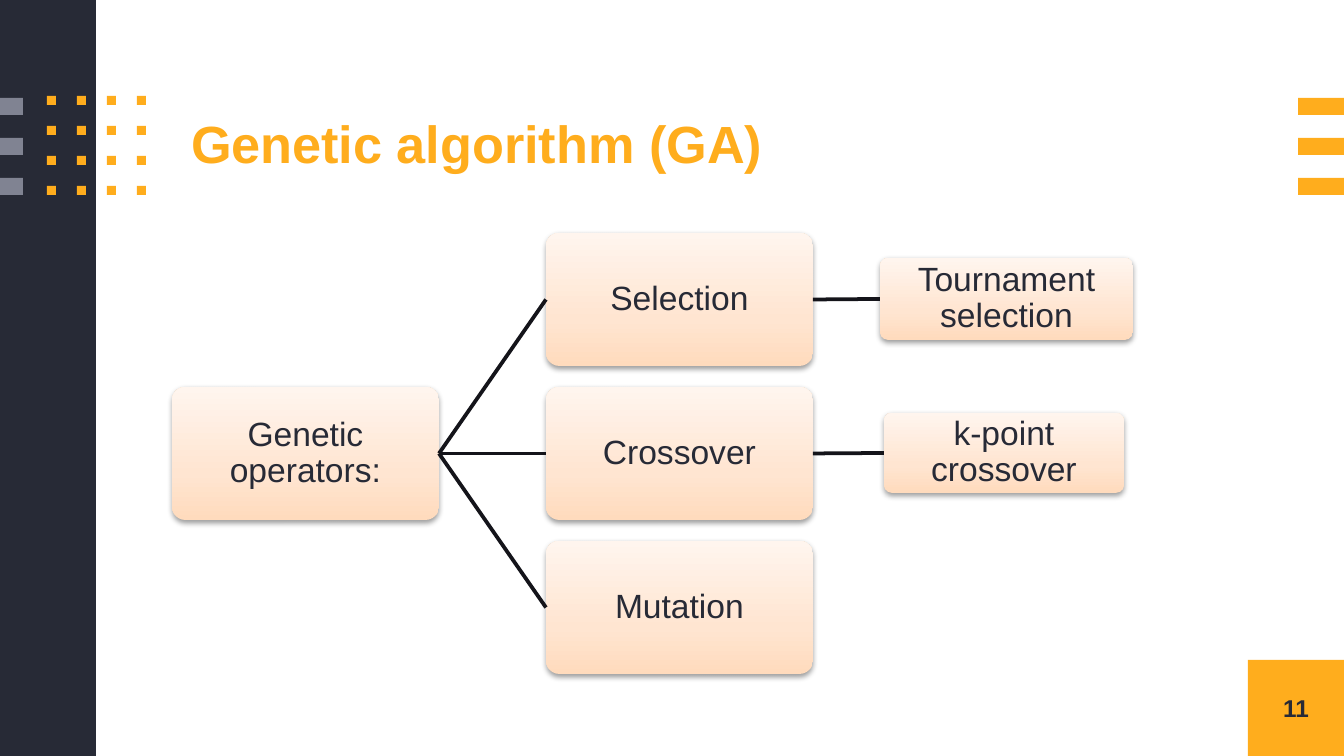
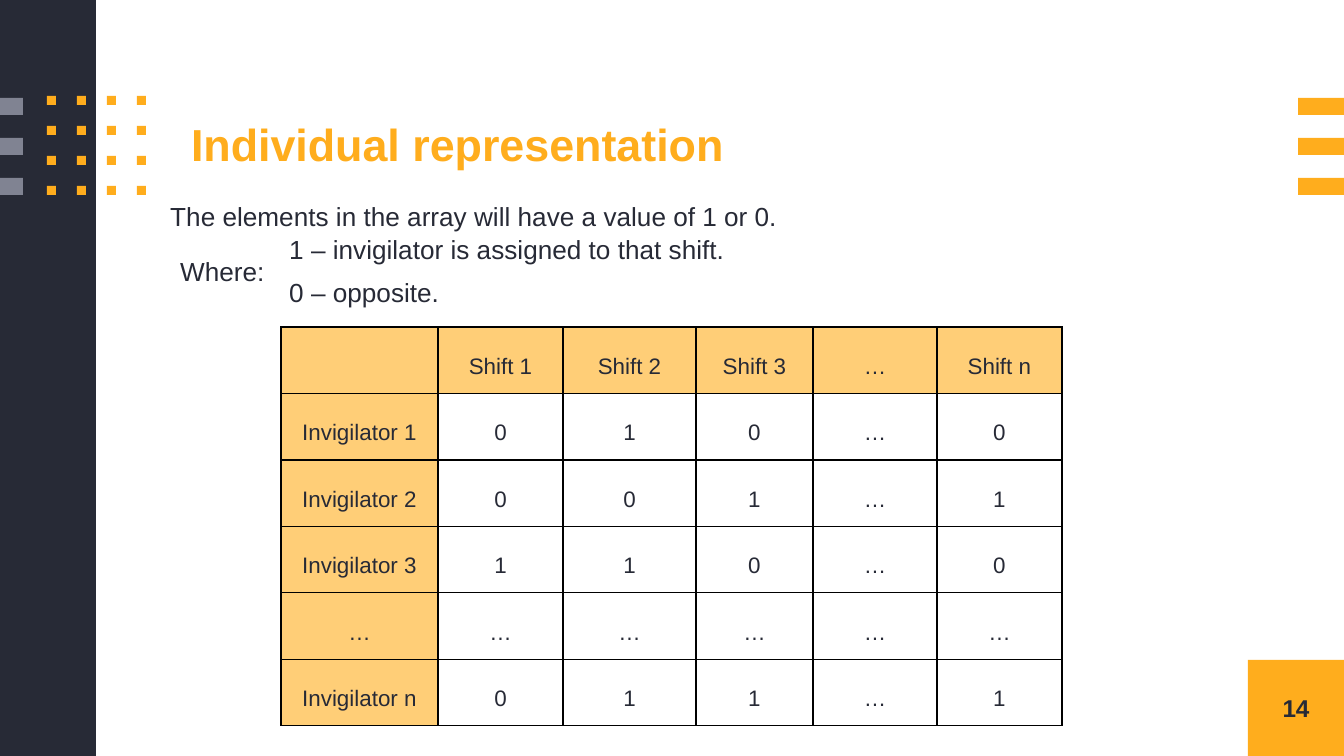
from copy import deepcopy

from lxml import etree
from pptx import Presentation
from pptx.dml.color import RGBColor
from pptx.enum.shapes import MSO_CONNECTOR, MSO_SHAPE
from pptx.enum.text import MSO_ANCHOR, MSO_AUTO_SIZE, PP_ALIGN
from pptx.oxml import parse_xml
from pptx.oxml.ns import nsdecls, qn
from pptx.util import Pt

RECT, ROUNDED = MSO_SHAPE.RECTANGLE, MSO_SHAPE.ROUNDED_RECTANGLE
STRAIGHT = MSO_CONNECTOR.STRAIGHT
MIDDLE = MSO_ANCHOR.MIDDLE
GROW, NO_FIT = MSO_AUTO_SIZE.SHAPE_TO_FIT_TEXT, MSO_AUTO_SIZE.NONE
LEFT, CENTER, JUSTIFY = PP_ALIGN.LEFT, PP_ALIGN.CENTER, PP_ALIGN.JUSTIFY

ORANGE = RGBColor(0xFF, 0xAD, 0x1D)
NAVY = RGBColor(0x27, 0x2A, 0x36)
GRAY = RGBColor(0x80, 0x83, 0x92)
HEADER_FILL = RGBColor(0xFF, 0xCE, 0x77)
LINK_COLOR = RGBColor(0x14, 0x14, 0x1A)
PEACH_STOPS = [
    (0, RGBColor(0xFF, 0xDB, 0xBD)),
    (0.35, RGBColor(0xFF, 0xE5, 0xD1)),
    (1, RGBColor(0xFF, 0xF5, 0xEE)),
]
FONT = "Arial"
SCALE = 9144000 / 1344  # EMU per px

SOFT_SHADOW = (
    f'<a:outerShdw {nsdecls("a")} blurRad="40000" dist="20000" dir="5400000" '
    'rotWithShape="0"><a:srgbClr val="000000"><a:alpha val="38000"/></a:srgbClr></a:outerShdw>'
)
CELL_BORDER = (
    '<a:{side} ' + nsdecls("a") + ' w="9525"><a:solidFill><a:srgbClr val="000000"/>'
    "</a:solidFill></a:{side}>"
)


def px(*lengths):
    return [round(length * SCALE) for length in lengths]


def write(frame, lines, size, color=NAVY, bold=False, inset=None, frame_format=None, **paragraph_format):
    """Fill a text frame, one paragraph per line."""
    for name, value in (frame_format or {}).items():
        setattr(frame, name, value)
    if inset is not None:
        for side in ("left", "top", "right", "bottom"):
            setattr(frame, f"margin_{side}", px(inset)[0])
    for index, line in enumerate(lines):
        paragraph = frame.add_paragraph() if index else frame.paragraphs[0]
        for name, value in paragraph_format.items():
            setattr(paragraph, name, value)
        run = paragraph.add_run()
        run.text = line
        for name, value in {"name": FONT, "size": Pt(size), "bold": bold}.items():
            setattr(run.font, name, value)
        run.font.color.rgb = color


prs = Presentation()
prs.slide_width, prs.slide_height = px(1344, 756)

# Shared decoration: page-number square, side band, bars and dot grid
decoration = [((1248, 660, 96, 96), ORANGE), ((0, 0, 96, 756), NAVY)]
decoration += [((0, 98 + 40 * row, 23, 17), GRAY) for row in range(3)]
decoration += [((47 + 30 * col, 96 + 30 * row, 9, 9), ORANGE) for row in range(4) for col in range(4)]
decoration += [((1298, 98 + 40 * row, 46, 17), ORANGE) for row in range(3)]

slides = []
for heading, heading_size, page in [
    ("Genetic algorithm (GA)", 28, "11"),
    ("Individual representation", 24, "14"),
]:
    slide = prs.slides.add_slide(prs.slide_layouts[5])
    slides.append(slide)
    for box, color in decoration:
        block = slide.shapes.add_shape(RECT, *px(*box))
        block.shadow.inherit = False
        block.fill.solid()
        block.fill.fore_color.rgb = color
        block.line.fill.background()
        if box == decoration[0][0]:
            write(block.text_frame, [page], 13, bold=True, inset=0,
                  frame_format={"vertical_anchor": MIDDLE}, alignment=CENTER)
    title = slide.shapes.title
    title.left, title.top, title.width, title.height = px(191, 98, 1153, 97)
    write(title.text_frame, [heading], heading_size, ORANGE, True, 0,
          {"vertical_anchor": MIDDLE, "auto_size": NO_FIT, "word_wrap": True},
          alignment=LEFT, line_spacing=0.9)

operators_slide, representation_slide = slides

# Operator tree: nodes
operators = {}
for label, box in [
    ("Genetic operators:", (172, 387, 267, 133)),
    ("Selection", (546, 233, 267, 133)),
    ("Tournament selection", (880, 258, 253, 82)),
    ("Crossover", (546, 387, 267, 133)),
    ("k-point crossover", (884, 413, 240, 80)),
    ("Mutation", (546, 541, 267, 133)),
]:
    node = operators_slide.shapes.add_shape(ROUNDED, *px(*box))
    node.adjustments[0] = 0.1
    node.line.fill.background()
    node.fill.gradient()
    node.fill.gradient_angle = 90
    stop_list = node.fill._fill._gradFill.find(qn("a:gsLst"))
    stop_list.insert(1, deepcopy(stop_list[0]))
    for stop, (position, color) in zip(node.fill.gradient_stops, PEACH_STOPS):
        stop.position = position
        stop.color.rgb = color
    node.shadow.inherit = False
    node._element.spPr.find(qn("a:effectLst")).append(parse_xml(SOFT_SHADOW))
    write(node.text_frame, [label], 18, inset=5,
          frame_format={"vertical_anchor": MIDDLE, "word_wrap": True},
          alignment=CENTER, line_spacing=0.9)
    operators[label] = node

# Operator tree: links from right side to left side
for parent, child in [
    ("Genetic operators:", "Selection"),
    ("Genetic operators:", "Crossover"),
    ("Genetic operators:", "Mutation"),
    ("Selection", "Tournament selection"),
    ("Crossover", "k-point crossover"),
]:
    link = operators_slide.shapes.add_connector(STRAIGHT, 0, 0, 0, 0)
    link.begin_connect(operators[parent], 3)
    link.end_connect(operators[child], 1)
    link.line.color.rgb = LINK_COLOR
    link.line.width = Pt(2)
    etree.SubElement(link._element.spPr, qn("a:effectLst"))

# Assignment table
assignments = [
    ["", "Shift 1", "Shift 2", "Shift 3", "…", "Shift n"],
    ["Invigilator 1", "0", "1", "0", "…", "0"],
    ["Invigilator 2", "0", "0", "1", "…", "1"],
    ["Invigilator 3", "1", "1", "0", "…", "0"],
    ["…", "…", "…", "…", "…", "…"],
    ["Invigilator n", "0", "1", "1", "…", "1"],
]
shifts = representation_slide.shapes.add_table(6, 6, *px(281, 327, 781, 399)).table
shifts.first_row = shifts.horz_banding = False
for column, width in zip(shifts.columns, px(157, 125, 133, 117, 124, 125)):
    column.width = width
for row_index, values in enumerate(assignments):
    for col_index, value in enumerate(values):
        cell = shifts.cell(row_index, col_index)
        cell.vertical_anchor = MIDDLE
        cell.margin_left, cell.margin_top, cell.margin_right, cell.margin_bottom = px(10, 0, 10, 0)
        if row_index == 0 or col_index == 0:
            cell.fill.solid()
            cell.fill.fore_color.rgb = HEADER_FILL
        else:
            cell.fill.background()
        for order, side in enumerate(("lnL", "lnR", "lnT", "lnB")):
            cell._tc.tcPr.insert(order, parse_xml(CELL_BORDER.format(side=side)))
        if value:
            write(cell.text_frame, [value], 12, alignment=CENTER, line_spacing=1.5,
                  space_before=Pt(8), space_after=Pt(8))

# Explanation of the values
for box, lines, spacing in [
    ((276, 227, 673, 89), ["1 – invigilator is assigned to that shift.", "0 – opposite."],
     {"alignment": JUSTIFY, "space_before": Pt(6)}),
    ((167, 233, 118, 55), ["Where:"],
     {"alignment": JUSTIFY, "line_spacing": 1.5, "space_before": Pt(8), "space_after": Pt(8)}),
    ((157, 194, 673, 46), ["The elements in the array will have a value of 1 or 0."], {}),
]:
    note = representation_slide.shapes.add_textbox(*px(*box))
    write(note.text_frame, lines, 14, frame_format={"word_wrap": True, "auto_size": GROW}, **spacing)

prs.save("out.pptx")
